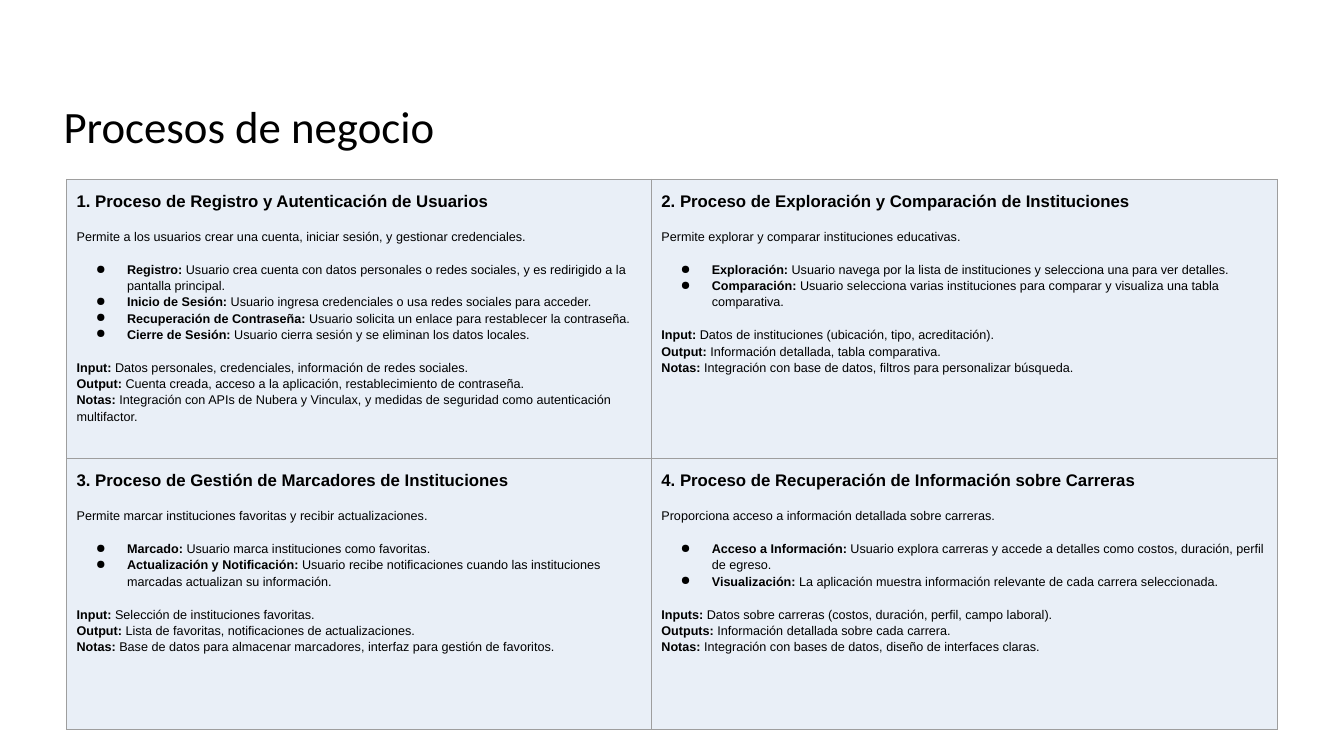
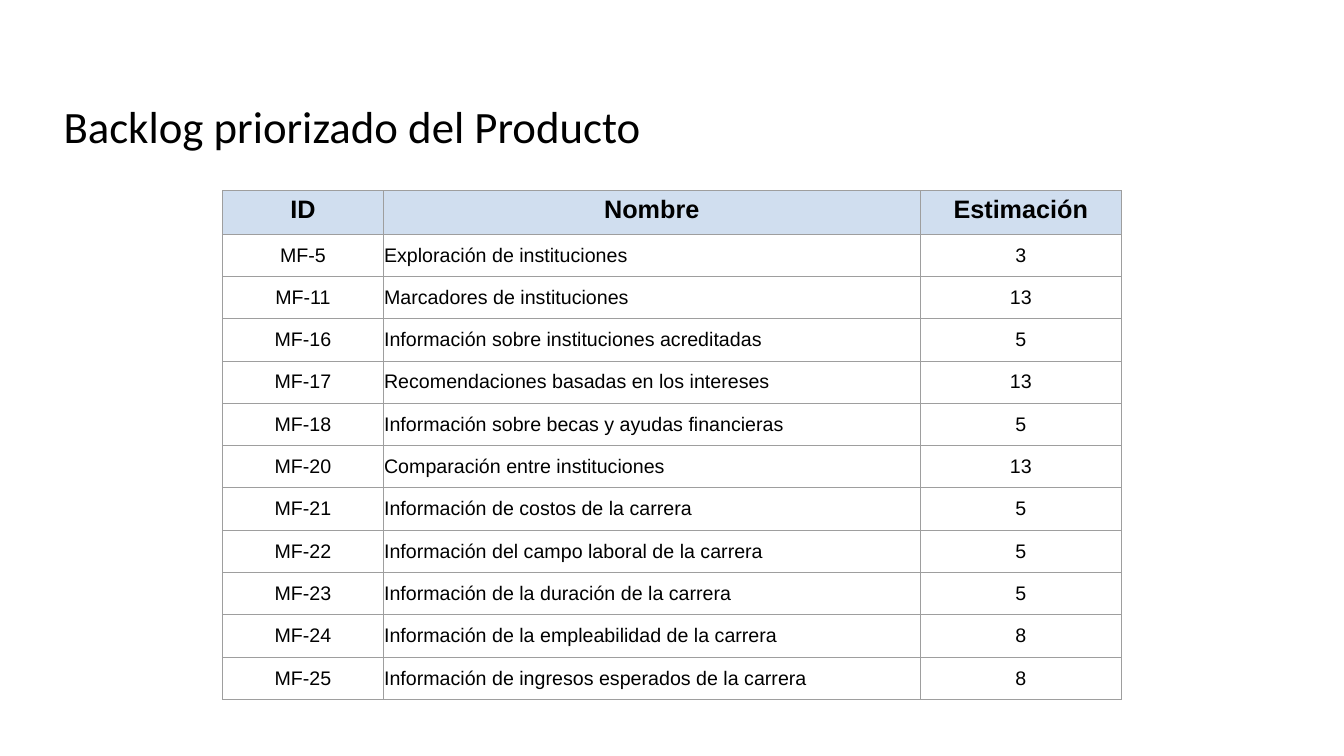
from dataclasses import dataclass

from lxml import etree
from pptx import Presentation
from pptx.dml.color import RGBColor
from pptx.enum.text import MSO_ANCHOR, PP_ALIGN
from pptx.oxml.ns import qn
from pptx.util import Inches, Pt

LEFT, CENTER = PP_ALIGN.LEFT, PP_ALIGN.CENTER
TOP, MIDDLE, BOTTOM = MSO_ANCHOR.TOP, MSO_ANCHOR.MIDDLE, MSO_ANCHOR.BOTTOM
TITLE_ONLY = 5


@dataclass(frozen=True)
class Theme:
    ink: str = "000000"
    edge: str = "9E9E9E"
    panel: str = "E9EFF7"
    head: str = "D0DEEF"
    title_font: str = "Calibri"
    font: str = "Arial"
    title: int = 32
    label: int = 18
    row: int = 14
    topic: int = 12
    body: int = 9
    rule: float = 0.75
    leading: float = 1.15


THEME = Theme()

PROCESS_TITLE = "Procesos de negocio"
PROCESSES = [
    {
        "topic": "1. Proceso de Registro y Autenticación de Usuarios",
        "intro": "Permite a los usuarios crear una cuenta, iniciar sesión, y gestionar credenciales.",
        "steps": [
            ("Registro:", "Usuario crea cuenta con datos personales o redes sociales, "
                          "y es redirigido a la pantalla principal."),
            ("Inicio de Sesión:", "Usuario ingresa credenciales o usa redes sociales para acceder."),
            ("Recuperación de Contraseña:", "Usuario solicita un enlace para restablecer la contraseña."),
            ("Cierre de Sesión:", "Usuario cierra sesión y se eliminan los datos locales."),
        ],
        "facts": [
            ("Input:", "Datos personales, credenciales, información de redes sociales."),
            ("Output:", "Cuenta creada, acceso a la aplicación, restablecimiento de contraseña."),
            ("Notas:", "Integración con APIs de Nubera y Vinculax, y medidas de seguridad "
                       "como autenticación multifactor."),
        ],
    },
    {
        "topic": "2. Proceso de Exploración y Comparación de Instituciones",
        "intro": "Permite explorar y comparar instituciones educativas.",
        "steps": [
            ("Exploración:", "Usuario navega por la lista de instituciones y selecciona una para ver detalles."),
            ("Comparación:", "Usuario selecciona varias instituciones para comparar "
                             "y visualiza una tabla comparativa."),
        ],
        "facts": [
            ("Input:", "Datos de instituciones (ubicación, tipo, acreditación)."),
            ("Output:", "Información detallada, tabla comparativa."),
            ("Notas:", "Integración con base de datos, filtros para personalizar búsqueda."),
        ],
    },
    {
        "topic": "3. Proceso de Gestión de Marcadores de Instituciones",
        "intro": "Permite marcar instituciones favoritas y recibir actualizaciones.",
        "steps": [
            ("Marcado:", "Usuario marca instituciones como favoritas."),
            ("Actualización y Notificación:", "Usuario recibe notificaciones cuando las instituciones "
                                              "marcadas actualizan su información."),
        ],
        "facts": [
            ("Input:", "Selección de instituciones favoritas."),
            ("Output:", "Lista de favoritas, notificaciones de actualizaciones."),
            ("Notas:", "Base de datos para almacenar marcadores, interfaz para gestión de favoritos."),
        ],
    },
    {
        "topic": "4. Proceso de Recuperación de Información sobre Carreras",
        "intro": "Proporciona acceso a información detallada sobre carreras.",
        "steps": [
            ("Acceso a Información:", "Usuario explora carreras y accede a detalles como costos, "
                                      "duración, perfil de egreso."),
            ("Visualización:", "La aplicación muestra información relevante de cada carrera seleccionada."),
        ],
        "facts": [
            ("Inputs:", "Datos sobre carreras (costos, duración, perfil, campo laboral)."),
            ("Outputs:", "Información detallada sobre cada carrera."),
            ("Notas:", "Integración con bases de datos, diseño de interfaces claras."),
        ],
    },
]

BACKLOG_TITLE = "Backlog priorizado del Producto"
BACKLOG = [
    ("ID", "Nombre", "Estimación"),
    ("MF-5", "Exploración de instituciones", 3),
    ("MF-11", "Marcadores de instituciones", 13),
    ("MF-16", "Información sobre instituciones acreditadas", 5),
    ("MF-17", "Recomendaciones basadas en los intereses", 13),
    ("MF-18", "Información sobre becas y ayudas financieras", 5),
    ("MF-20", "Comparación entre instituciones", 13),
    ("MF-21", "Información de costos de la carrera", 5),
    ("MF-22", "Información del campo laboral de la carrera", 5),
    ("MF-23", "Información de la duración de la carrera", 5),
    ("MF-24", "Información de la empleabilidad de la carrera", 8),
    ("MF-25", "Información de ingresos esperados de la carrera", 8),
]


def write(frame, text, label="", size=THEME.body, font=THEME.font, bold=False,
          align=LEFT, leading=THEME.leading, before=0, after=0, bullet=False):
    """Add one paragraph, with an optional bold label in front of the text."""
    par = frame.paragraphs[0]
    if par.runs:
        par = frame.add_paragraph()
    par.alignment, par.line_spacing = align, leading
    par.space_before, par.space_after = Pt(before), Pt(after)
    parts = [(label, True), (" " + text, bold)] if label else [(text, bold)]
    for words, heavy in parts:
        run = par.add_run()
        run.text = words
        run.font.name, run.font.size, run.font.bold = font, Pt(size), heavy
        run.font.color.rgb = RGBColor.from_string(THEME.ink)
    if bullet:
        add_bullet(par)


def add_bullet(par):
    props = par._p.get_or_add_pPr()
    props.set("marL", str(Inches(0.5)))
    props.set("indent", str(Inches(-0.31)))
    tint = etree.SubElement(props, qn("a:buClr"))
    etree.SubElement(tint, qn("a:srgbClr"), val=THEME.ink)
    etree.SubElement(props, qn("a:buChar"), char="●")


def add_edges(cell):
    props = cell._tc.get_or_add_tcPr()
    for side in ("a:lnL", "a:lnR", "a:lnT", "a:lnB"):
        line = etree.SubElement(props, qn(side), w=str(Pt(THEME.rule)))
        paint = etree.SubElement(line, qn("a:solidFill"))
        etree.SubElement(paint, qn("a:srgbClr"), val=THEME.edge)


def style_cell(cell, fill, anchor, pads):
    """Set edges, fill and anchor; pads are left, top, right, bottom in inches."""
    add_edges(cell)
    if fill:
        cell.fill.solid()
        cell.fill.fore_color.rgb = RGBColor.from_string(fill)
    else:
        cell.fill.background()
    cell.vertical_anchor = anchor
    (cell.margin_left, cell.margin_top,
     cell.margin_right, cell.margin_bottom) = map(Inches, pads)


def add_grid(slide, left, top, cols, rows):
    frame = slide.shapes.add_table(len(rows), len(cols), Inches(left), Inches(top),
                                   Inches(sum(cols)), Inches(sum(rows)))
    table = frame.table
    table.first_row = table.horz_banding = False
    for col, width in zip(table.columns, cols):
        col.width = Inches(width)
    for row, height in zip(table.rows, rows):
        row.height = Inches(height)
    return table


def set_layout(layout):
    """Place the title once for every slide."""
    title = layout.placeholders[0]
    title.left, title.top = Inches(0.53), Inches(0.88)
    title.width, title.height = Inches(12.27), Inches(0.79)
    title.text_frame.vertical_anchor = MIDDLE


def add_slide(deck, title):
    slide = deck.slides.add_slide(deck.slide_layouts[TITLE_ONLY])
    write(slide.shapes.title.text_frame, title, size=THEME.title,
          font=THEME.title_font, leading=0.9)
    return slide


def add_processes(deck):
    slide = add_slide(deck, PROCESS_TITLE)
    cols = [5.8, 6.21]
    table = add_grid(slide, 0.66, 1.78, cols, [2.77, 2.69])
    for i, item in enumerate(PROCESSES):
        cell = table.cell(*divmod(i, len(cols)))
        style_cell(cell, THEME.panel, TOP, [0.1] * 4)
        frame = cell.text_frame
        write(frame, item["topic"], size=THEME.topic, bold=True, before=14)
        write(frame, item["intro"], before=12)
        for n, (label, text) in enumerate(item["steps"]):
            write(frame, text, label=label, bullet=True, before=0 if n else 12)
        last = len(item["facts"]) - 1
        for n, (label, text) in enumerate(item["facts"]):
            write(frame, text, label=label, before=0 if n else 12,
                  after=12 if n == last else 0)


def add_backlog(deck):
    slide = add_slide(deck, BACKLOG_TITLE)
    table = add_grid(slide, 2.21, 1.89, [1.59, 5.33, 1.99], [0.42] * len(BACKLOG))
    for r, row in enumerate(BACKLOG):
        head = r == 0
        for c, value in enumerate(row):
            cell = table.cell(r, c)
            style_cell(cell, THEME.head if head else None, BOTTOM, (0.01, 0.01, 0.01, 0.1))
            write(cell.text_frame, str(value), bold=head,
                  size=THEME.label if head else THEME.row,
                  align=LEFT if c == 1 and not head else CENTER)


def main():
    deck = Presentation()
    deck.slide_width, deck.slide_height = Inches(13.33), Inches(7.5)
    set_layout(deck.slide_layouts[TITLE_ONLY])
    add_processes(deck)
    add_backlog(deck)
    deck.save("out.pptx")


if __name__ == "__main__":
    main()
